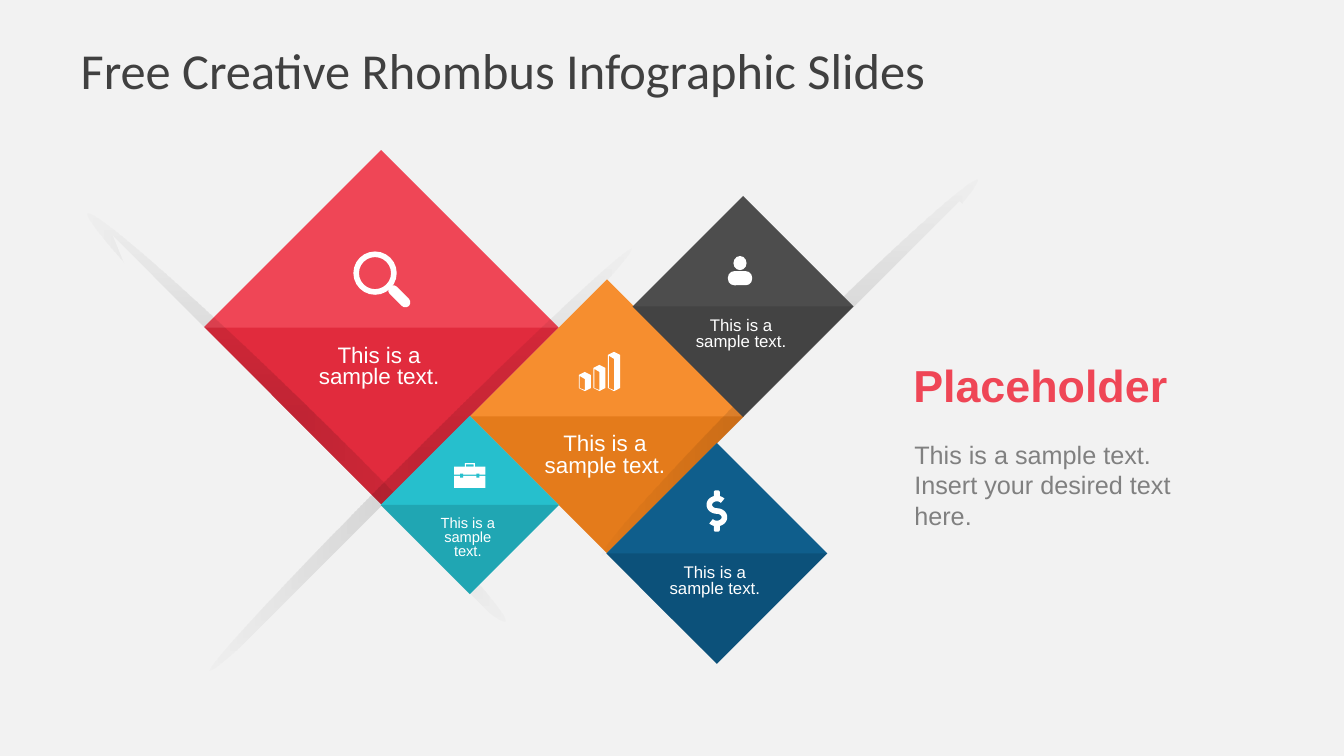
from collections import namedtuple
from math import cos, radians, sin, sqrt
from lxml.etree import SubElement
from pptx import Presentation
from pptx.dml.color import RGBColor
from pptx.enum.shapes import MSO_SHAPE
from pptx.enum.text import MSO_ANCHOR, MSO_AUTO_SIZE, PP_ALIGN
from pptx.oxml import parse_xml
from pptx.oxml.ns import nsdecls, qn
from pptx.util import Inches, Pt

COLORS = {
    "background": "F2F2F2", "title": "404040", "body": "808080", "white": "FFFFFF",
    "shadow": "000000", "red": "EF4656", "red_low": "D51225", "orange": "F68E2F",
    "orange_low": "D36909", "blue": "0F5E8C", "blue_low": "0B4669", "gray": "4D4D4D",
    "gray_low": "3A3A3A", "teal": "26BFCD", "teal_low": "1C8F9A",
}
SAMPLE = "This is a sample text."
CAPTION_SHIFT = 0.02
COVER_SIZE = (0.6, 5.63)

Caption = namedtuple("Caption", "drop width height size anchor", defaults=[MSO_ANCHOR.MIDDLE])
LARGE = Caption(0.13, 1.71, 0.53, 16)
MEDIUM = Caption(0.07, 1.12, 0.42, 12)
SMALL = Caption(0.07, 0.78, 0.53, 10.5, MSO_ANCHOR.TOP)


def rgb(color):
    return RGBColor.from_string(COLORS[color])


def set_values(target, values):
    for name, value in values.items():
        setattr(target, name, value)


def paint(shape, color, opacity=100):
    shape.shadow.inherit = False
    shape.line.fill.background()
    shape.fill.solid()
    shape.fill.fore_color.rgb = rgb(color)
    if opacity < 100:
        tint = shape.element.spPr.find(".//" + qn("a:srgbClr"))
        SubElement(tint, qn("a:alpha"), val=str(opacity * 1000))


def add_centered(shapes, kind, center, size, color, angle=0, adjustment=None):
    (x, y), (width, height) = center, size
    shape = shapes.add_shape(kind, *map(Inches, (x - width / 2, y - height / 2, width, height)))
    shape.rotation = angle
    if adjustment is not None:
        shape.adjustments[0] = adjustment
    paint(shape, color)
    return shape


def trace(shapes, contours, close=True):
    builder = None
    for contour in contours:
        start, *rest = [(Inches(x), Inches(y)) for x, y in contour]
        if builder is None:
            builder = shapes.build_freeform(*start)
        else:
            builder.move_to(*start)
        builder.add_line_segments(rest, close=close)
    return builder.convert_to_shape()


def write(frame, text, color, font, paragraph_values, frame_values):
    frame.text = text
    paragraph = frame.paragraphs[0]
    letters = paragraph.runs[0].font
    set_values(frame, {"word_wrap": True, **frame_values})
    set_values(paragraph, paragraph_values)
    set_values(letters, font)
    letters.color.rgb = rgb(color)


def add_text(shapes, box, text, color, size, anchor=MSO_ANCHOR.TOP, bold=False, **paragraph_values):
    holder = shapes.add_textbox(*map(Inches, box))
    write(holder.text_frame, text, color, {"name": "Arial", "size": Pt(size), "bold": bold},
          paragraph_values,
          {"vertical_anchor": anchor, "auto_size": MSO_AUTO_SIZE.SHAPE_TO_FIT_TEXT})


def add_title(slide, text):
    title = slide.shapes.title
    set_values(title, {"left": Inches(0.67), "top": Inches(0.3),
                       "width": Inches(12), "height": Inches(0.78)})
    margins = {"margin_left": 0.13, "margin_right": 0.13, "margin_top": 0.07, "margin_bottom": 0.07}
    write(title.text_frame, text, "title", {"name": "Calibri", "size": Pt(36)},
          {"alignment": PP_ALIGN.LEFT},
          {"vertical_anchor": MSO_ANCHOR.MIDDLE, "auto_size": MSO_AUTO_SIZE.NONE,
           **{side: Inches(margin) for side, margin in margins.items()}})


def add_magnifier(shapes, x, y):
    add_centered(shapes, MSO_SHAPE.DONUT, (x - 0.06, y - 0.04), (0.43, 0.43), "white",
                 adjustment=0.13)
    add_centered(shapes, MSO_SHAPE.ROUNDED_RECTANGLE, (x + 0.18, y + 0.19), (0.27, 0.1), "white",
                 angle=45, adjustment=0.5)


def add_bars(shapes, x, y):
    half, slant, rim, step = 0.06, 0.03, 0.01, 0.145
    bottom = y + 0.19
    for position, height in enumerate((0.19, 0.26, 0.39)):
        left = x - 0.21 + position * step
        middle, right, top = left + half, left + 2 * half, bottom - height
        prism = [(middle, top), (right, top + slant), (right, bottom - slant),
                 (middle, bottom), (left, bottom - slant), (left, top + slant)]
        side_face = [(left + rim, top + slant + rim), (middle, top + 2 * slant + rim),
                     (middle, bottom - rim), (left + rim, bottom - slant)]
        paint(trace(shapes, [prism, side_face]), "white")


def add_dollar(shapes, x, y):
    radius_x, radius_y = 0.075, 0.062
    upper = [(angle, y - radius_y) for angle in range(-40, -271, -10)]
    lower = [(angle, y + radius_y) for angle in range(-90, 141, 10)]
    curve = [(x + radius_x * cos(radians(angle)), middle + radius_y * sin(radians(angle)))
             for angle, middle in upper + lower]
    letter = trace(shapes, [curve], close=False)
    letter.shadow.inherit = False
    letter.fill.background()
    letter.line.width = Pt(4)
    letter.line.color.rgb = rgb("white")
    for direction in (-1, 1):
        add_centered(shapes, MSO_SHAPE.ROUNDED_RECTANGLE, (x, y + direction * 0.17),
                     (0.06, 0.07), "white", adjustment=0.3)


def add_person(shapes, x, y):
    add_centered(shapes, MSO_SHAPE.OVAL, (x, y - 0.08), (0.13, 0.14), "white")
    add_centered(shapes, MSO_SHAPE.ROUNDED_RECTANGLE, (x, y + 0.07), (0.24, 0.14), "white",
                 adjustment=0.45)


def add_briefcase(shapes, x, y):
    add_centered(shapes, MSO_SHAPE.FRAME, (x, y - 0.1), (0.1, 0.05), "white", adjustment=0.25)
    add_centered(shapes, MSO_SHAPE.RECTANGLE, (x, y - 0.05), (0.31, 0.08), "white")
    add_centered(shapes, MSO_SHAPE.RECTANGLE, (x, y + 0.06), (0.31, 0.12), "white")
    for direction in (-1, 1):
        add_centered(shapes, MSO_SHAPE.RECTANGLE, (x + direction * 0.08, y), (0.03, 0.04), "teal")


def add_rhombus(slide, color, center, side, caption, add_icon, icon_center):
    shapes = slide.shapes.add_group_shape().shapes
    x, y = center
    reach = side / sqrt(2)
    add_centered(shapes, MSO_SHAPE.RECTANGLE, center, (side, side), color, angle=45)
    lower_half = trace(shapes, [[(x - reach, y), (x + reach, y), (x, y + reach)]])
    paint(lower_half, color + "_low", opacity=50)
    add_icon(shapes, *icon_center)
    box = (x - caption.width / 2 - CAPTION_SHIFT, y + caption.drop, caption.width, caption.height)
    add_text(shapes, box, SAMPLE, "white", caption.size, caption.anchor,
             alignment=PP_ALIGN.CENTER, line_spacing=0.8)


def add_shadow(slide, center, size, angle):
    shadow = add_centered(slide.shapes, MSO_SHAPE.OVAL, center, size, "shadow", angle)
    stops = "".join(
        f'<a:gs pos="{place * 1000}"><a:srgbClr val="{COLORS["shadow"]}">'
        f'<a:alpha val="{opacity * 1000}"/></a:srgbClr></a:gs>'
        for place, opacity in ((0, 14), (100, 0)))
    gradient = parse_xml(
        f'<a:gradFill {nsdecls("a")} rotWithShape="1"><a:gsLst>{stops}</a:gsLst>'
        '<a:path path="shape"><a:fillToRect l="50000" t="50000" r="50000" b="50000"/>'
        '</a:path></a:gradFill>')
    properties = shadow.element.spPr
    properties.replace(properties.find(qn("a:solidFill")), gradient)


def add_rising_shadow(slide, center, size, cover_center):
    add_shadow(slide, center, size, 315)
    add_centered(slide.shapes, MSO_SHAPE.RECTANGLE, cover_center, COVER_SIZE, "background", angle=45)


def add_falling_shadow(slide):
    add_shadow(slide, (2.94, 4.14), (5.79, 0.31), 44.3)
    cover = trace(slide.shapes, [[(1.12, 2.34), (5.27, 6.5), (3.52, 5.6), (1.87, 4.17)]])
    paint(cover, "background")


def main():
    deck = Presentation()
    deck.slide_width, deck.slide_height = Inches(13.33), Inches(7.5)
    slide = deck.slides.add_slide(deck.slide_layouts[5])
    slide.background.fill.solid()
    slide.background.fill.fore_color.rgb = rgb("background")

    add_title(slide, "Free Creative Rhombus Infographic Slides")
    add_text(slide.shapes, (8.97, 4.31, 3.19, 1.01),
             SAMPLE + " Insert your desired text here.", "body", 18)
    add_text(slide.shapes, (8.96, 3.49, 3.19, 0.64), "Placeholder", "red", 32,
             MSO_ANCHOR.BOTTOM, bold=True)

    add_rhombus(slide, "red", (3.78, 3.25), 2.49, LARGE, add_magnifier, (3.78, 2.75))
    add_falling_shadow(slide)
    add_rising_shadow(slide, (4.17, 4.56), (5.92, 0.2), (4.56, 4.67))
    add_rhombus(slide, "orange", (6.02, 4.13), 1.92, LARGE, add_bars, (5.95, 3.69))
    add_rising_shadow(slide, (7.83, 3.65), (5.27, 0.26), (7.74, 4.2))
    add_rhombus(slide, "blue", (7.11, 5.49), 1.55, MEDIUM, add_dollar, (7.11, 5.07))
    add_rhombus(slide, "gray", (7.37, 3.04), 1.55, MEDIUM, add_person, (7.34, 2.69))
    add_rhombus(slide, "teal", (4.66, 5.01), 1.25, SMALL, add_briefcase, (4.66, 4.72))
    deck.save("out.pptx")


main()
